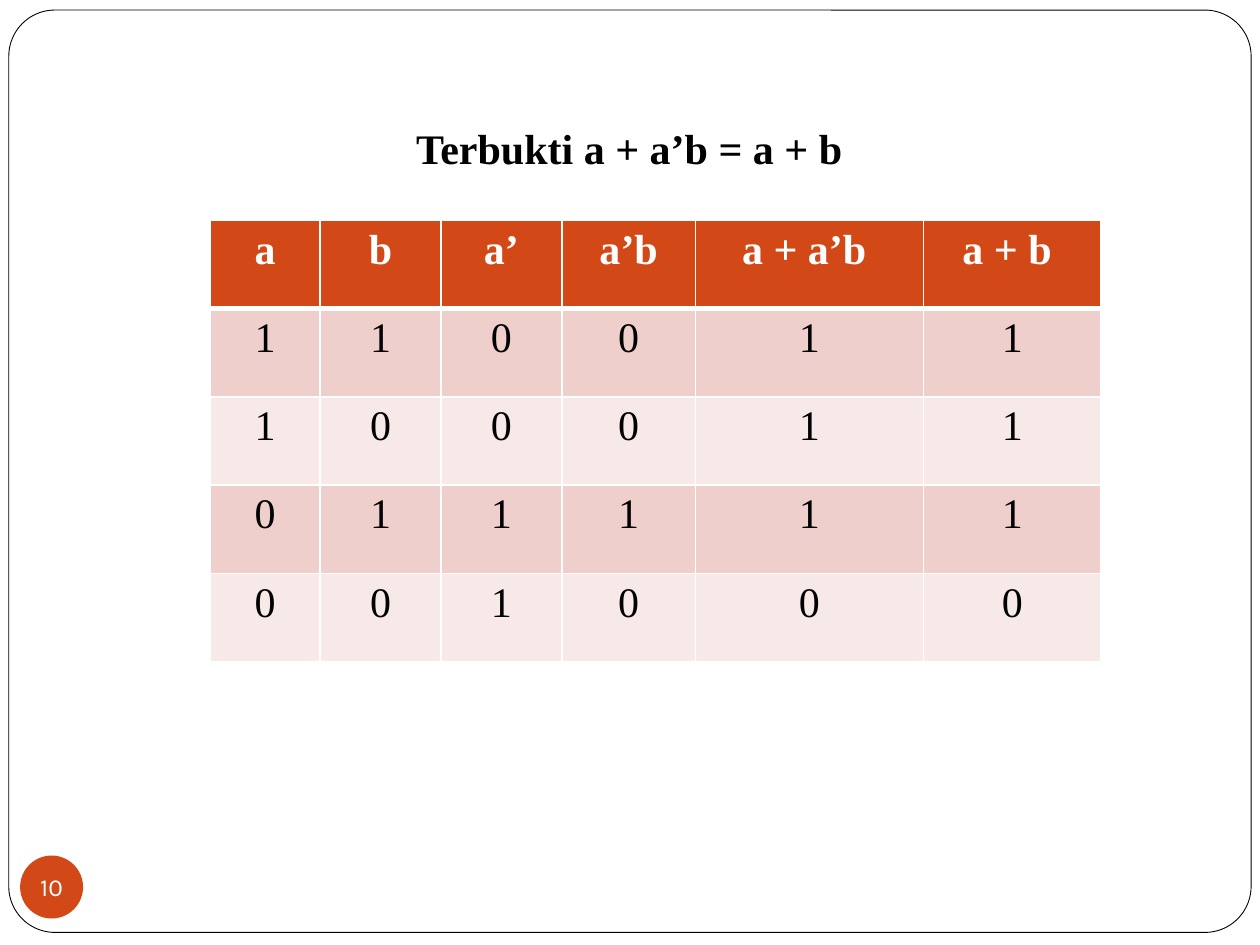
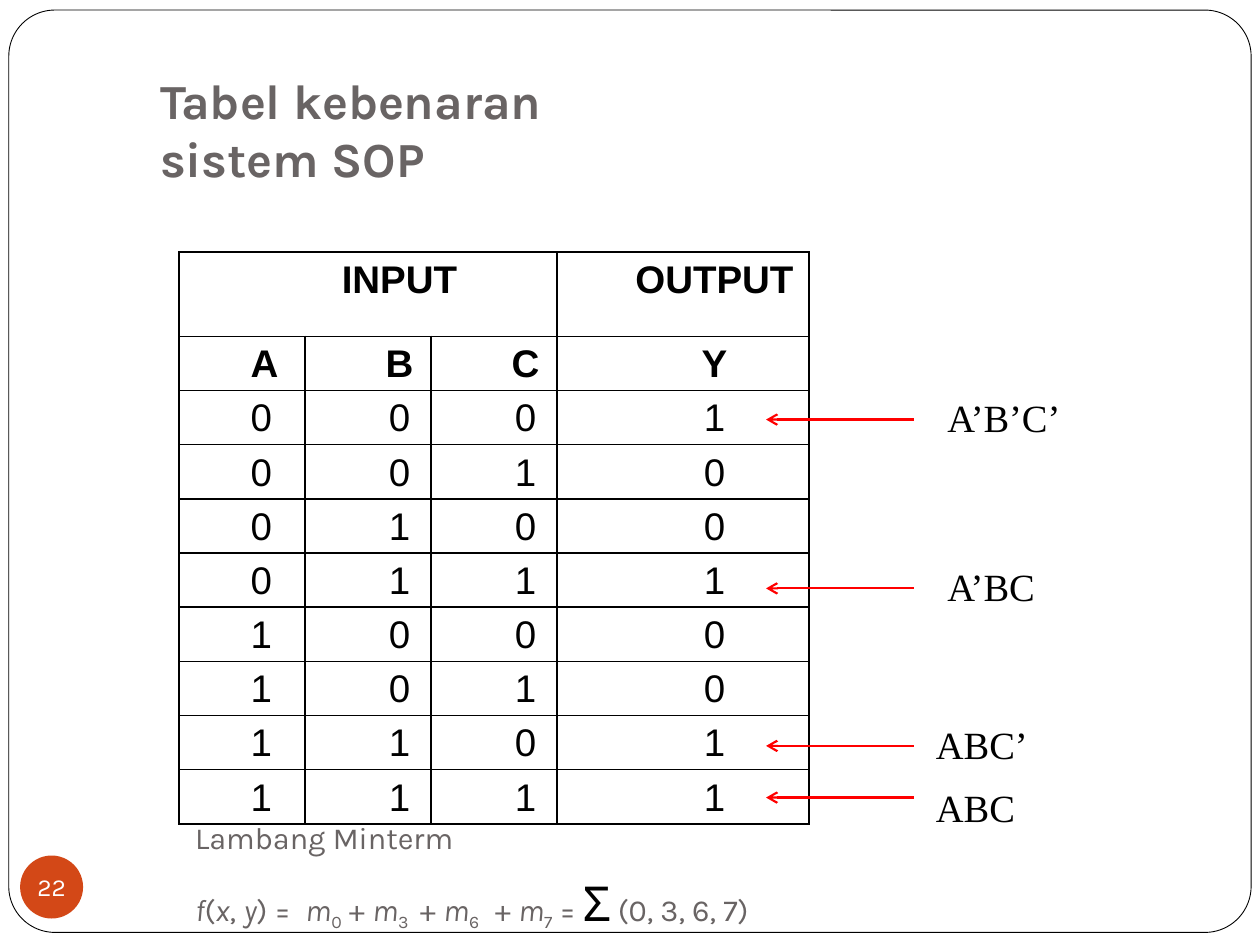
from lxml.etree import SubElement
from pptx import Presentation
from pptx.dml.color import RGBColor
from pptx.enum.shapes import MSO_CONNECTOR as Link, MSO_SHAPE as Form
from pptx.enum.text import MSO_ANCHOR as Anchor, MSO_AUTO_SIZE as Fit, PP_ALIGN as Align
from pptx.oxml.ns import qn
from pptx.util import Inches, Pt

HUES = {"ink": "000000", "paper": "FFFFFF", "rust": "D34817", "gray": "696464",
        "rose": "EFCFCC", "blush": "F7E9E8", "red": "FF0000"}
SERIF = {"name": "Times New Roman", "size": 24, "hue": "ink"}
LABEL = {**SERIF, "size": 22}
SANS = {"name": "Arial", "size": 22, "hue": "ink"}
KARLA = {"name": "Karla", "size": 17.5, "hue": "gray"}
HEAD = {**KARLA, "size": 28, "bold": True}
BADGE = {**KARLA, "size": 14, "hue": "paper"}
SIDES = ("left", "top", "right", "bottom")


class Deck:
    def __init__(self):
        self.show = Presentation()
        self.show.slide_width, self.show.slide_height = Inches(10), Inches(7.5)

    def hue(self, name):
        return RGBColor.from_string(HUES[name])

    def style(self, run, look):
        font = run.font
        for key, val in look.items():
            if key == "hue":
                font.color.rgb = self.hue(val)
            elif key == "base":
                font._element.set("baseline", str(val * 1000))
            else:
                setattr(font, key, Pt(val) if key == "size" else val)

    def put(self, para, text, look):
        for num, line in enumerate(text.split("\n")):
            if num:
                para.add_line_break()
            if line:
                run = para.add_run()
                run.text = line
                self.style(run, look)

    def inset(self, item, *gaps):
        for side, gap in zip(SIDES, gaps):
            setattr(item, "margin_" + side, Inches(gap))

    def shape(self, form, area, fill):
        item = self.page.shapes.add_shape(form, *map(Inches, area))
        item.shadow.inherit = False
        item.fill.solid()
        item.fill.fore_color.rgb = self.hue(fill)
        item.line.fill.background()
        return item

    def start(self, num, text, area, look, align=Align.LEFT, anchor=Anchor.TOP, foot=0.05):
        self.page = self.show.slides.add_slide(self.show.slide_layouts[5])
        head = self.page.shapes.title
        head.left, head.top, head.width, head.height = map(Inches, area)
        body = head.text_frame
        body.auto_size, body.word_wrap = Fit.NONE, True
        body.vertical_anchor = anchor
        self.inset(body, 0.1, 0.05, 0.1, foot)
        body.paragraphs[0].alignment = align
        self.put(body.paragraphs[0], text, look)

        frame = self.shape(Form.ROUNDED_RECTANGLE, (0.07, 0.08, 9.86, 7.32), "paper")
        frame.adjustments[0] = 0.05
        frame.line.color.rgb = self.hue("ink")
        frame.line.width = Pt(0.5)
        head.element.addprevious(frame.element)

        dot = self.shape(Form.OVAL, (0.16, 6.79, 0.5, 0.5), "rust").text_frame
        dot.word_wrap, dot.vertical_anchor = False, Anchor.MIDDLE
        self.inset(dot, 0, 0, 0, 0)
        dot.paragraphs[0].alignment = Align.CENTER
        self.put(dot.paragraphs[0], str(num), BADGE)

    def text(self, area, parts, wrap=False, fit=Fit.SHAPE_TO_FIT_TEXT):
        body = self.page.shapes.add_textbox(*map(Inches, area)).text_frame
        body.word_wrap, body.auto_size = wrap, fit
        for part, look in parts:
            self.put(body.paragraphs[0], part, look)
        return body

    def arrow(self, left, right, y):
        line = self.page.shapes.add_connector(
            Link.STRAIGHT, Inches(right), Inches(y), Inches(left), Inches(y))
        line.line.color.rgb = self.hue("red")
        line.line.width = Pt(1.25)
        SubElement(line.line._get_or_add_ln(), qn("a:tailEnd"), type="arrow")
        SubElement(line.element.spPr, qn("a:effectLst"))

    def edge(self, cell, hue, widths):
        prop = cell._tc.get_or_add_tcPr()
        for side, width in zip("LRTB", widths):
            line = SubElement(prop, qn("a:ln" + side), w=str(Pt(width)))
            fill = SubElement(line, qn("a:solidFill"))
            SubElement(fill, qn("a:srgbClr"), val=HUES[hue])

    def table(self, spot, cols, rows, data, paint):
        size = sum(cols), sum(rows)
        grid = self.page.shapes.add_table(
            len(rows), len(cols), *map(Inches, (*spot, *size))).table
        grid.first_row = grid.horz_banding = False
        for col, width in zip(grid.columns, cols):
            col.width = Inches(width)
        for row, height in zip(grid.rows, rows):
            row.height = Inches(height)
        for r, line in enumerate(data):
            for c, text in enumerate(line):
                cell = grid.cell(r, c)
                para = cell.text_frame.paragraphs[0]
                para.alignment = Align.CENTER
                self.put(para, text, paint(cell, para, r, c))
        return grid


def proof(deck):
    deck.start(10, "Terbukti a + a’b = a + b", (2.33, 0.92, 5.33, 0.5),
               {**SERIF, "bold": True}, Align.CENTER)

    def paint(cell, para, r, c):
        deck.edge(cell, "paper", (1, 1, 3 if r == 1 else 1, 1 if r else 3))
        cell.fill.solid()
        fill = ("blush", "rose")[r % 2] if r else "rust"
        cell.fill.fore_color.rgb = deck.hue(fill)
        return {**SERIF, "hue": "ink" if r else "paper", "bold": r == 0}

    data = [("a", "b", "a’", "a’b", "a + a’b ", "a + b "),
            "110011", "100011", "011111", "001000"]
    deck.table((1.67, 1.75), (0.87, 0.96, 0.96, 1.06, 1.81, 1.41), [0.7] * 5, data, paint)


def truth(deck):
    deck.start(22, "Tabel kebenaran \nsistem SOP", (1.17, 0.42, 5.5, 1.17),
               HEAD, anchor=Anchor.BOTTOM, foot=0.1)

    def paint(cell, para, r, c):
        deck.edge(cell, "ink", (1, 1, 1, 1))
        cell.fill.background()
        deck.inset(cell, 0.07, 0, 0.07, 0)
        if r and not c:
            para.alignment = Align.LEFT
        para.line_spacing = 1.15
        prop = para._p.get_or_add_pPr()
        prop.set("marL", str(Inches(0.5)))
        prop.set("indent", "0")
        return {**SANS, "bold": r < 2}

    ones = (0, 3, 6, 7)
    data = [("INPUT", "", "", "OUTPUT"), "ABCY"]
    data += [f"{n:03b}{int(n in ones)}" for n in range(8)]
    grid = deck.table((1.42, 2), (1, 1, 1, 2), [0.67] + [0.43] * 9, data, paint)
    grid.cell(0, 0).merge(grid.cell(0, 2))

    for y in (3.33, 4.67, 5.92, 6.33):
        deck.arrow(6.08, 7.25, y)
    for text, x, y, width in (("A’B’C’", 7.42, 3.08, 1.11), ("A’BC", 7.42, 4.42, 0.9),
                              ("ABC’", 7.33, 5.67, 0.94), ("ABC", 7.33, 6.17, 0.83)):
        deck.text((x, y, width, 0.47), [(text, LABEL)])

    slant, sub = {**KARLA, "italic": True}, {**KARLA, "base": -25}
    parts = [("Lambang Minterm\n", KARLA), ("f", slant), ("(", KARLA), ("x", slant),
             (", ", KARLA), ("y", slant), (") =  ", KARLA)]
    for index, sign in (("0", " + "), ("3 ", " + "), ("6  ", " + "), ("7", " = ")):
        parts += [("m", slant), (index, sub), (sign, KARLA)]
    parts += [("Σ", {**KARLA, "size": 27.5, "hue": "ink"}), (" (0, 3, 6, 7)", KARLA)]
    body = deck.text((1.45, 6.38, 5.5, 1.12), parts, True, Fit.NONE)
    body.vertical_anchor = Anchor.BOTTOM
    deck.inset(body, 0.1, 0.05, 0.1, 0.1)
    body.paragraphs[0].line_spacing = 1.3


def main():
    deck = Deck()
    proof(deck)
    truth(deck)
    deck.show.save("out.pptx")


if __name__ == "__main__":
    main()
